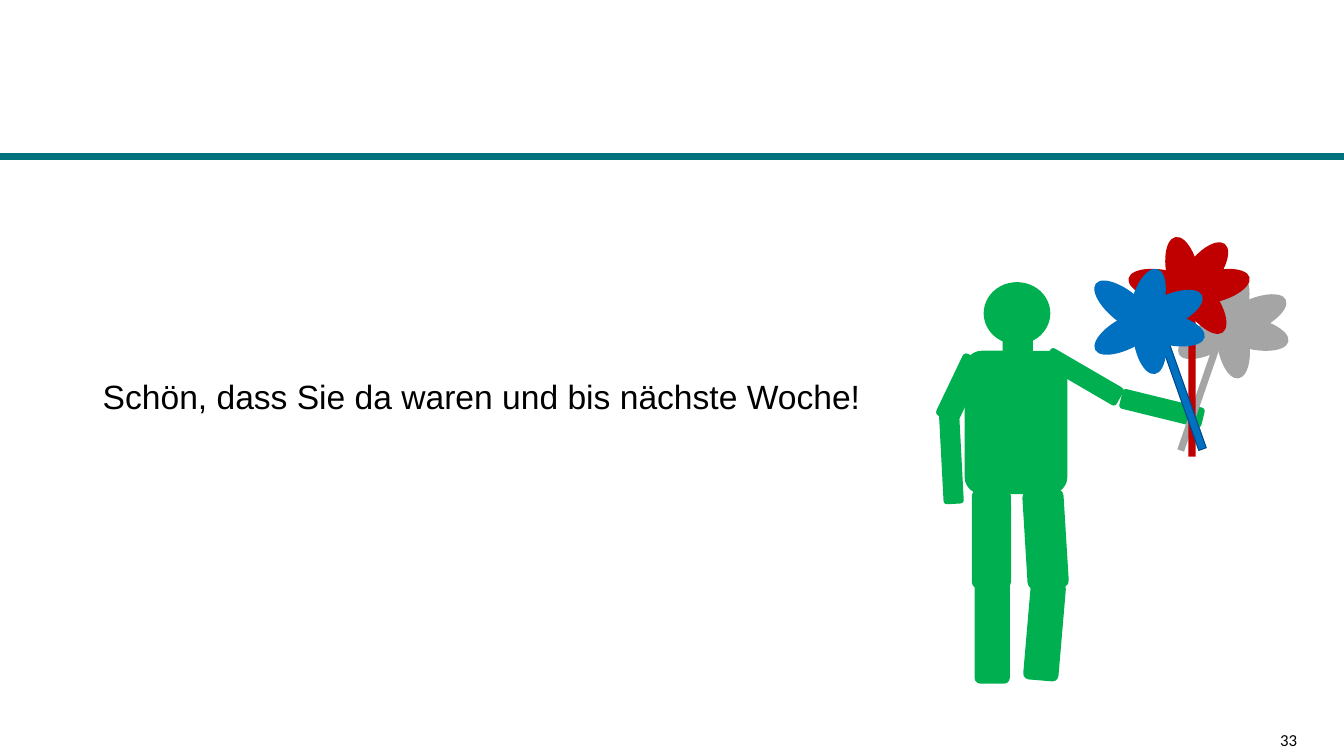
"""Build the closing slide with a farewell line and a figure holding flowers."""
import dataclasses
import typing

import pptx
import pptx.dml.color
import pptx.enum.shapes
import pptx.enum.text
import pptx.util
from lxml import etree

Cm = pptx.util.Cm
Pt = pptx.util.Pt
Kind = pptx.enum.shapes.MSO_SHAPE
Align = pptx.enum.text.PP_ALIGN
Anchor = pptx.enum.text.MSO_ANCHOR

GREEN, GREY, RED, BLUE = "00B050", "A5A5A5", "C00000", "0070C0"
LONG, SHORT = (1.88, 0.79), (1.8, 0.81)


@dataclasses.dataclass(frozen=True)
class Part:
    left: float
    top: float
    width: float
    height: float
    angle: float = 0
    kind: Kind = Kind.ROUNDED_RECTANGLE


@dataclasses.dataclass(frozen=True)
class Petal:
    left: float
    top: float
    size: tuple[float, float]
    angle: float


@dataclasses.dataclass(frozen=True)
class Flower:
    left: float
    top: float
    color: str
    stem: Part
    petals: tuple[Petal, ...]
    stem_outline: typing.Optional[str] = None


FIGURE = (
    Part(24.79, 7.11, 1.68, 1.57, kind=Kind.OVAL),
    Part(27.05, 8.43, 0.51, 2.13, 300.2),
    Part(29.03, 9.22, 0.51, 2.13, 283.8),
    Part(24.31, 8.84, 2.59, 3.61),
    Part(25.27, 8.53, 0.76, 0.43, kind=Kind.RECTANGLE),
    Part(25.83, 12.34, 1.04, 2.49, 356.5),
    Part(24.49, 12.34, 0.99, 2.49),
    Part(25.88, 14.66, 0.89, 2.49, 4.9),
    Part(24.56, 14.61, 0.89, 2.62),
    Part(23.9, 8.92, 0.61, 1.73, 25.5),
    Part(23.72, 10.34, 0.51, 2.36, 357),
)
WIDE_BLOOM = (
    Petal(1.09, 0.66, LONG, 12.6),
    Petal(1.09, 0.2, LONG, 335.5),
    Petal(0, 0.1, LONG, 38.9),
    Petal(0.61, 0, SHORT, 285.7),
    Petal(0.08, 0.74, LONG, 331.8),
    Petal(0.66, 0.89, SHORT, 81.7),
)
TALL_BLOOM = (
    Petal(1.22, 0.38, LONG, 345.5),
    Petal(0.99, 0, SHORT, 308.3),
    Petal(0, 0.36, LONG, 11.7),
    Petal(0.48, 0, SHORT, 258.5),
    Petal(0.38, 0.86, SHORT, 304.6),
    Petal(0.97, 0.79, SHORT, 54.5),
)
BOUQUET = (
    Flower(29.52, 7.35, GREY, Part(30.12, 8.64, 0.18, 2.79, 19, Kind.RECTANGLE), WIDE_BLOOM),
    Flower(28.42, 6.45, RED, Part(29.95, 7.95, 0.18, 3.56, 0, Kind.RECTANGLE), TALL_BLOOM),
    Flower(27.41, 7.24, BLUE, Part(29.72, 8.48, 0.2, 2.92, 340.5, Kind.RECTANGLE),
           WIDE_BLOOM, "004888"),
)


def rgb(color: str) -> pptx.dml.color.RGBColor:
    return pptx.dml.color.RGBColor.from_string(color)


def draw_part(shapes, part: Part, color: str, outline: typing.Optional[str] = None) -> None:
    shape = shapes.add_shape(
        part.kind, Cm(part.left), Cm(part.top), Cm(part.width), Cm(part.height))
    shape.rotation = part.angle
    shape.shadow.inherit = False
    shape.fill.solid()
    shape.fill.fore_color.rgb = rgb(color)
    if outline:
        shape.line.color.rgb = rgb(outline)
        shape.line.width = Pt(0.75)
    else:
        shape.line.fill.background()


def draw_figure(page) -> None:
    group = page.shapes.add_group_shape()
    for part in FIGURE:
        draw_part(group.shapes, part, GREEN)


def draw_flower(page, flower: Flower) -> None:
    group = page.shapes.add_group_shape()
    draw_part(group.shapes, flower.stem, flower.color, flower.stem_outline)
    for petal in flower.petals:
        part = Part(flower.left + petal.left, flower.top + petal.top,
                    *petal.size, petal.angle, Kind.OVAL)
        draw_part(group.shapes, part, flower.color)


def draw_rule(page, top: float, width: int) -> None:
    rule = page.shapes.add_connector(
        pptx.enum.shapes.MSO_CONNECTOR.STRAIGHT, 0, Cm(top), width, Cm(top))
    rule.line.color.rgb = rgb("00727D")
    rule.line.width = Pt(4.5)
    etree.SubElement(rule._element.spPr, pptx.oxml.ns.qn("a:effectLst"))


def write_text(page, text: str, *, left: float, top: float, width: float, height: float,
               size: float, font: str, align: Align = Align.LEFT,
               anchor: Anchor = Anchor.TOP, line_spacing: float = 1,
               space_before: float = 0) -> None:
    box = page.shapes.add_textbox(Cm(left), Cm(top), Cm(width), Cm(height))
    box.text_frame.word_wrap = True
    box.text_frame.vertical_anchor = anchor
    para = box.text_frame.paragraphs[0]
    para.alignment = align
    para.line_spacing = line_spacing
    para.space_before = Pt(space_before)
    span = para.add_run()
    span.text = text
    span.font.size = Pt(size)
    span.font.name = font
    span.font.color.rgb = rgb("000000")


def main() -> None:
    deck = pptx.Presentation()
    deck.slide_width, deck.slide_height = Cm(33.87), Cm(19.05)
    page = deck.slides.add_slide(deck.slide_layouts[6])
    draw_rule(page, 3.94, deck.slide_width)
    write_text(page, "33", left=25.32, top=18.31, width=7.62, height=0.69, size=12,
               font="Calibri", align=Align.RIGHT, anchor=Anchor.MIDDLE)
    write_text(page, "Schön, dass Sie da waren und bis nächste Woche!", left=2.34, top=9.47,
               width=29.79, height=1.57, size=24, font="Arial", line_spacing=0.9,
               space_before=10)
    draw_figure(page)
    for flower in BOUQUET:
        draw_flower(page, flower)
    deck.save("out.pptx")


if __name__ == "__main__":
    main()
